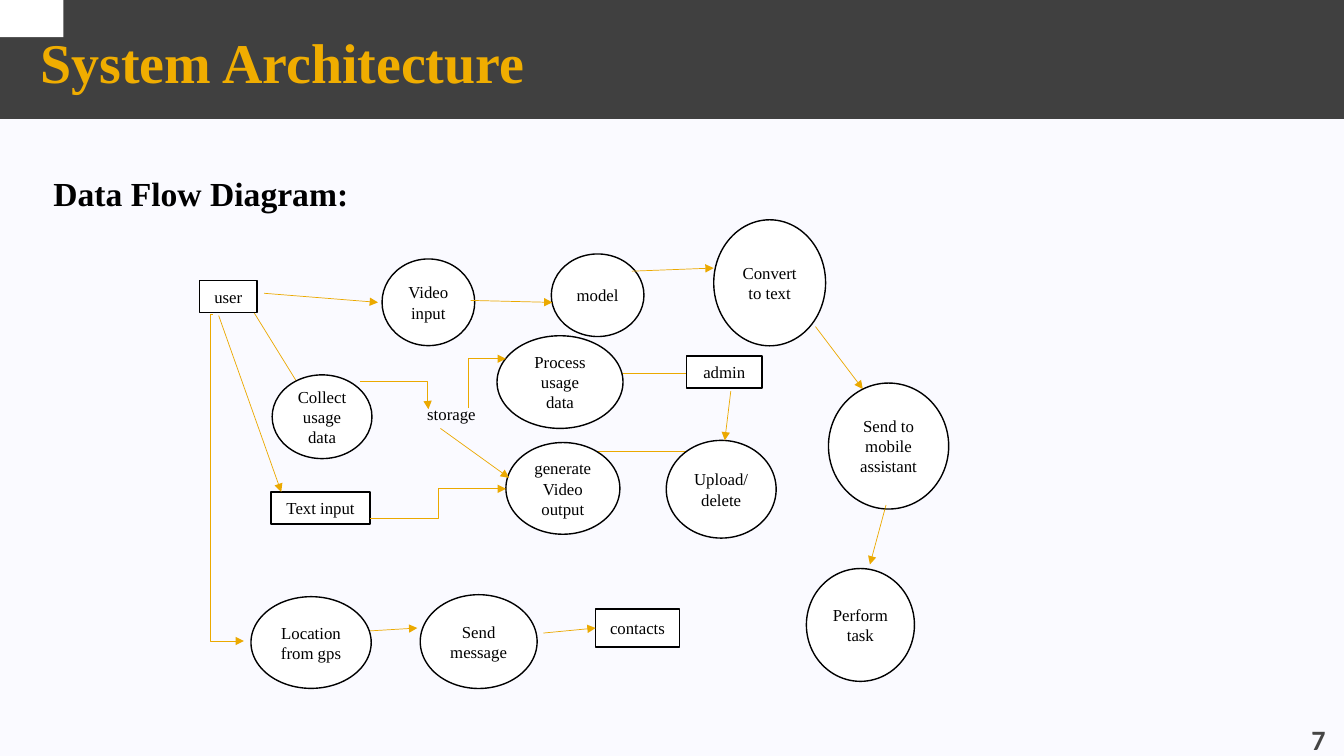
from lxml import etree
from pptx import Presentation, util as u
from pptx.dml import color
from pptx.enum import shapes, text
from pptx.oxml import ns

SERIF = "Times New Roman"
BLACK, WHITE, GOLD, ARROW = "000000", "FFFFFF", "F0AD00", "EBA900"
LEFT, CENTER, RIGHT = text.PP_ALIGN.LEFT, text.PP_ALIGN.CENTER, text.PP_ALIGN.RIGHT
TOP, MIDDLE, BOTTOM = (text.MSO_ANCHOR.TOP, text.MSO_ANCHOR.MIDDLE,
                       text.MSO_ANCHOR.BOTTOM)

ENTITIES = [
    ("user", 142.6, 200.2, 41, 23),
    ("admin", 490.3, 254.2, 54, 23),
    ("contacts", 425.5, 434.9, 59.8, 27.4),
    ("Text input", 193.7, 351.4, 70.6, 23),
]
PROCESSES = [
    ("Video input", 272.9, 185, 66.2, 61.9),
    ("model", 393.8, 181.4, 66.2, 59),
    ("generate\nVideo output", 361.4, 316.1, 81.4, 65.5),
    ("Collect usage data", 194.4, 267.8, 71.3, 59.8),
    ("Process usage data", 355, 239.8, 90, 66.2),
    ("Upload/\ndelete", 475.9, 314.6, 78.5, 69.8),
    ("Location from gps", 179.3, 426.2, 85.9, 65.5),
    ("Send message", 300.2, 424.8, 83.5, 67),
    ("Send to mobile assistant", 591.8, 273.6, 85.9, 90),
    ("Convert to text", 509.8, 157, 79.9, 90),
    ("Perform task", 576, 406.1, 77.2, 80.6),
]
FLOWS_BEHIND = [
    (181.4, 223.2, 221, 287.3),
    (263.5, 450.7, 298.1, 448.6),
    (582.5, 233.3, 616.3, 277.9),
]
FLOWS_IN_FRONT = [
    (336.2, 214.6, 394.6, 216),
    (388.1, 452.2, 425.5, 448.6),
    (522, 279.4, 517.7, 314.6),
    (156.2, 225.4, 200.9, 351.4),
    (314.6, 306, 363.6, 341.3),
    (451.4, 193.7, 509.8, 191.5),
    (188.6, 209.5, 270, 216),
    (632.9, 360.7, 621.4, 403.2),
]
BENT_FLOWS = [
    (257, 272.2, 306, 292.3, 0.99),
    (264.2, 370.1, 361.4, 349.2, 0.5),
    (334.8, 291.6, 361.4, 256.3, 0),
    (151.9, 224.6, 174.2, 457.9, -0.09),
]


def rgb(value):
    return color.RGBColor.from_string(value)


def write(shape, content, *, size, colour=BLACK, font=SERIF, bold=False,
          align=LEFT, anchor=TOP, margins=(7.2, 3.6, 7.2, 3.6)):
    frame = shape.text_frame
    frame.text = content
    frame.word_wrap = True
    frame.auto_size = text.MSO_AUTO_SIZE.NONE
    frame.vertical_anchor = anchor
    (frame.margin_left, frame.margin_top,
     frame.margin_right, frame.margin_bottom) = map(u.Pt, margins)
    for paragraph in frame.paragraphs:
        paragraph.alignment = align
        for run in paragraph.runs:
            run.font.size = u.Pt(size)
            run.font.name = font
            run.font.bold = bold
            run.font.color.rgb = rgb(colour)


def add_label(slide, content, box, **style):
    write(slide.shapes.add_textbox(*map(u.Pt, box)), content, **style)


def add_block(slide, kind, box, fill, outline=None):
    shape = slide.shapes.add_shape(kind, *map(u.Pt, box))
    shape.shadow.inherit = False
    shape.fill.solid()
    shape.fill.fore_color.rgb = rgb(fill)
    if outline:
        shape.line.color.rgb = rgb(outline)
        shape.line.width = u.Pt(1)
    else:
        shape.line.fill.background()
    return shape


def add_node(slide, kind, content, *box):
    shape = add_block(slide, kind, box, WHITE, BLACK)
    write(shape, content, size=12, align=CENTER, anchor=MIDDLE)


def add_flow(slide, *ends, bend=None, arrow=True):
    kind = shapes.MSO_CONNECTOR.STRAIGHT if bend is None else shapes.MSO_CONNECTOR.ELBOW
    flow = slide.shapes.add_connector(kind, *map(u.Pt, ends))
    flow.line.color.rgb = rgb(ARROW)
    flow.line.width = u.Pt(0.5)
    properties = flow._element.spPr
    if bend is not None:
        guides = properties.find(ns.qn("a:prstGeom")).find(ns.qn("a:avLst"))
        etree.SubElement(guides, ns.qn("a:gd"), name="adj1",
                         fmla=f"val {round(bend * 100000)}")
    if arrow:
        etree.SubElement(properties.find(ns.qn("a:ln")), ns.qn("a:tailEnd"),
                         type="triangle")
    etree.SubElement(properties, ns.qn("a:effectLst"))


def add_header(slide):
    title = slide.shapes.title
    title.left, title.top, title.width, title.height = map(
        u.Pt, (21.6, 5.8, 916.6, 75.6))
    write(title, "System Architecture", size=40, colour=GOLD, bold=True,
          anchor=MIDDLE, margins=(7.2, 3.6, 3.6, 3.6))
    band = add_block(slide, shapes.MSO_SHAPE.RECTANGLE, (0, 0, 960, 85), "404040")
    title._element.addprevious(band._element)
    add_block(slide, shapes.MSO_SHAPE.RECTANGLE, (0, 0, 45.4, 26.6), WHITE)


def add_diagram(slide):
    add_flow(slide, 424.1, 326.2, 490.3, 322.6, bend=0, arrow=False)
    add_flow(slide, 441.4, 266.4, 509.8, 266.4, arrow=False)
    for ends in FLOWS_BEHIND:
        add_flow(slide, *ends)
    for node in PROCESSES:
        add_node(slide, shapes.MSO_SHAPE.OVAL, *node)
    for node in ENTITIES:
        add_node(slide, shapes.MSO_SHAPE.RECTANGLE, *node)
    add_label(slide, "storage", (298.1, 285.1, 59, 21.6), size=12,
              align=text.PP_ALIGN.JUSTIFY)
    for ends in FLOWS_IN_FRONT:
        add_flow(slide, *ends)
    for *ends, bend in BENT_FLOWS:
        add_flow(slide, *ends, bend=bend)


def main():
    presentation = Presentation()
    presentation.slide_width, presentation.slide_height = u.Pt(960), u.Pt(540)
    slide = presentation.slides.add_slide(presentation.slide_layouts[5])
    slide.background.fill.solid()
    slide.background.fill.fore_color.rgb = rgb("FAFAFF")
    add_header(slide)
    add_label(slide, "Data Flow Diagram:", (31, 120.2, 229.7, 36), size=24, bold=True)
    add_diagram(slide)
    add_label(slide, "7", (877, 518.4, 77, 21.6), size=20, colour="454545",
              font="Calibri", bold=True, align=RIGHT, anchor=BOTTOM,
              margins=(7.2, 3.6, 7.2, 0))
    presentation.save("out.pptx")


if __name__ == "__main__":
    main()
